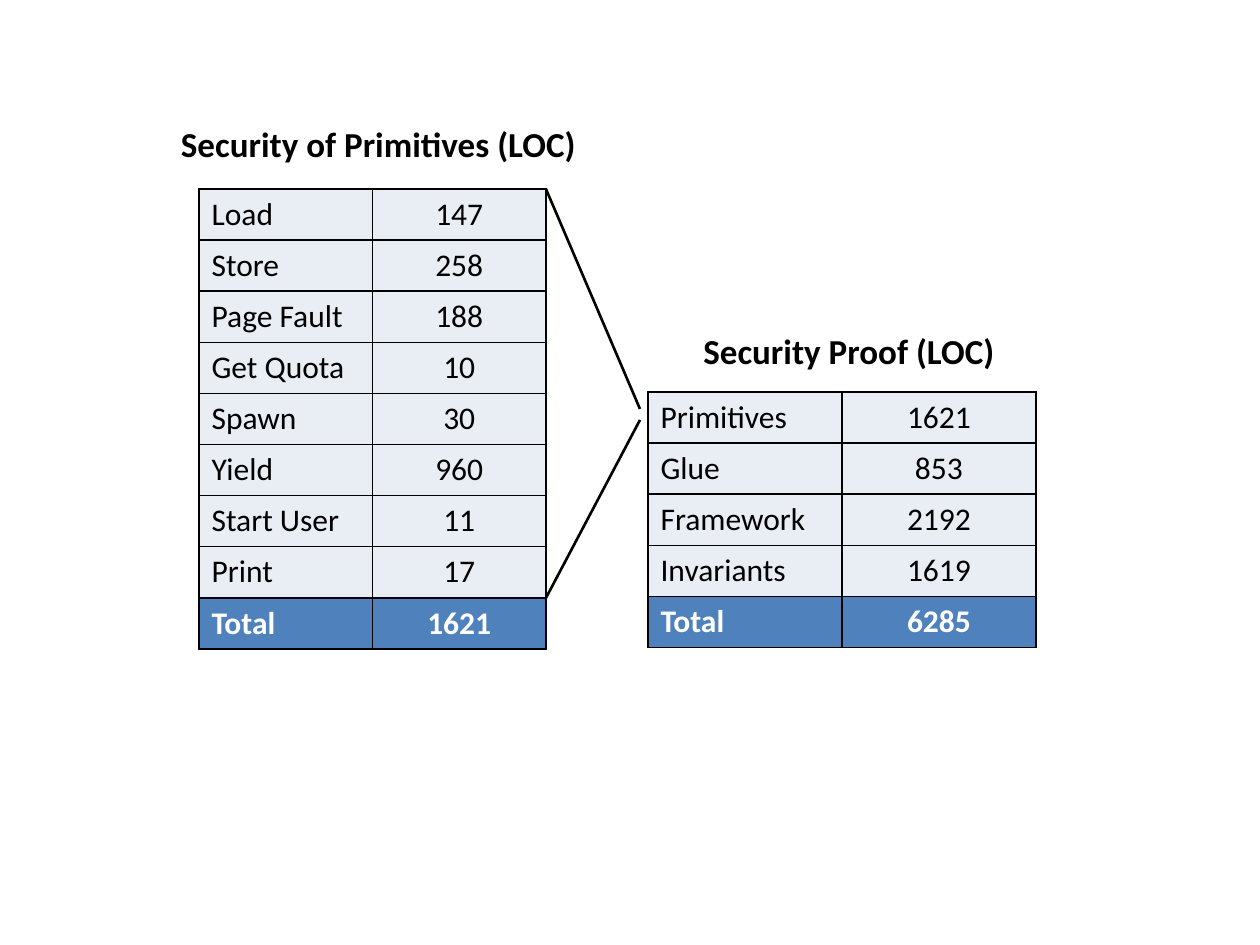
from dataclasses import dataclass

from lxml import etree
from pptx import Presentation
from pptx import util as u
from pptx.dml.color import RGBColor
from pptx.enum import shapes, text
from pptx.oxml.ns import qn

PX = u.Inches(1) / 126
FONT = "Calibri"
BLACK, WHITE = "000000", "FFFFFF"
BODY_FILL, TOTAL_FILL = "E9EDF4", "4F81BD"
ROW_H = 51


@dataclass
class LocTable:
    x: int
    y: int
    width: int
    rows: list[tuple[str, int]]


@dataclass
class Heading:
    x: int
    y: int
    width: int
    label: str


def px(n: float) -> u.Emu:
    return u.Emu(round(n * PX))


def rgb(color: str) -> RGBColor:
    return RGBColor.from_string(color)


def style(p, size: int, color: str, bold: bool, align) -> None:
    p.alignment = align
    p.font.name, p.font.size, p.font.bold = FONT, u.Pt(size), bold
    p.font.color.rgb = rgb(color)


def add_borders(cell) -> None:
    tc_pr = cell._tc.get_or_add_tcPr()
    for side in ("a:lnL", "a:lnR", "a:lnT", "a:lnB"):
        ln = etree.SubElement(tc_pr, qn(side), w=str(u.Pt(1)))
        fill = etree.SubElement(ln, qn("a:solidFill"))
        etree.SubElement(fill, qn("a:srgbClr"), val=BLACK)


def add_loc_table(s, spec: LocTable) -> None:
    n = len(spec.rows)
    table = s.shapes.add_table(n, 2, px(spec.x), px(spec.y),
                               px(spec.width), px(n * ROW_H)).table
    table.first_row = table.horz_banding = False
    for i, row in enumerate(spec.rows):
        total = i == n - 1
        for j, value in enumerate(row):
            cell = table.cell(i, j)
            add_borders(cell)
            cell.fill.solid()
            cell.fill.fore_color.rgb = rgb(TOTAL_FILL if total else BODY_FILL)
            cell.text = str(value)
            style(cell.text_frame.paragraphs[0], 18, WHITE if total else BLACK, total,
                  text.PP_ALIGN.CENTER if j else text.PP_ALIGN.LEFT)


def add_heading(s, spec: Heading) -> None:
    tf = s.shapes.add_textbox(px(spec.x), px(spec.y), px(spec.width), px(55)).text_frame
    tf.word_wrap = True
    tf.auto_size = text.MSO_AUTO_SIZE.SHAPE_TO_FIT_TEXT
    tf.text = spec.label
    style(tf.paragraphs[0], 20, BLACK, True, text.PP_ALIGN.CENTER)


def add_line(s, start: tuple[int, int], end: tuple[int, int]) -> None:
    line = s.shapes.add_connector(shapes.MSO_CONNECTOR.STRAIGHT,
                                  *(px(n) for n in start + end))
    line.line.color.rgb = rgb(BLACK)
    line.line.width = u.Pt(1.5)
    etree.SubElement(line._element.spPr, qn("a:effectLst"))


def with_total(rows: list[tuple[str, int]]) -> list[tuple[str, int]]:
    return rows + [("Total", sum(loc for _, loc in rows))]


primitives = LocTable(199, 189, 347, with_total([
    ("Load", 147), ("Store", 258), ("Page Fault", 188), ("Get Quota", 10),
    ("Spawn", 30), ("Yield", 960), ("Start User", 11), ("Print", 17)]))
proof = LocTable(648, 392, 388, with_total([
    ("Primitives", 1621), ("Glue", 853), ("Framework", 2192), ("Invariants", 1619)]))
headings = [Heading(641, 323, 416, "Security Proof (LOC)"),
            Heading(158, 116, 441, "Security of Primitives (LOC)")]

prs = Presentation()
prs.slide_width, prs.slide_height = u.Inches(10), u.Inches(7.5)
s = prs.slides.add_slide(prs.slide_layouts[6])

# Tables
for loc_table in (primitives, proof):
    add_loc_table(s, loc_table)

# Lines from the primitives rows to their sum in the proof
right = primitives.x + primitives.width
add_line(s, (640, 409), (right, primitives.y))
add_line(s, (640, 420), (right, 598))

# Headings
for heading in headings:
    add_heading(s, heading)

prs.save("out.pptx")
